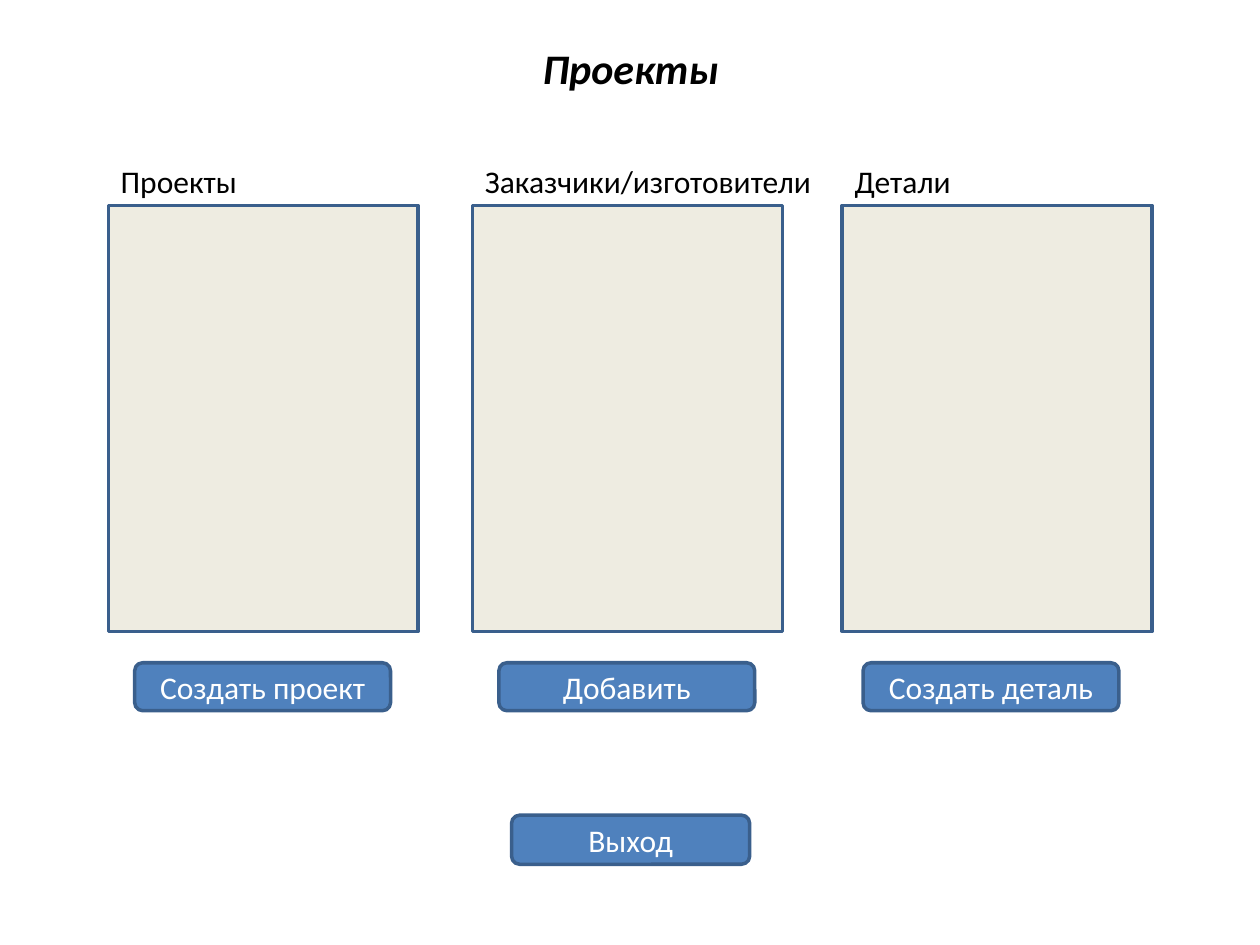
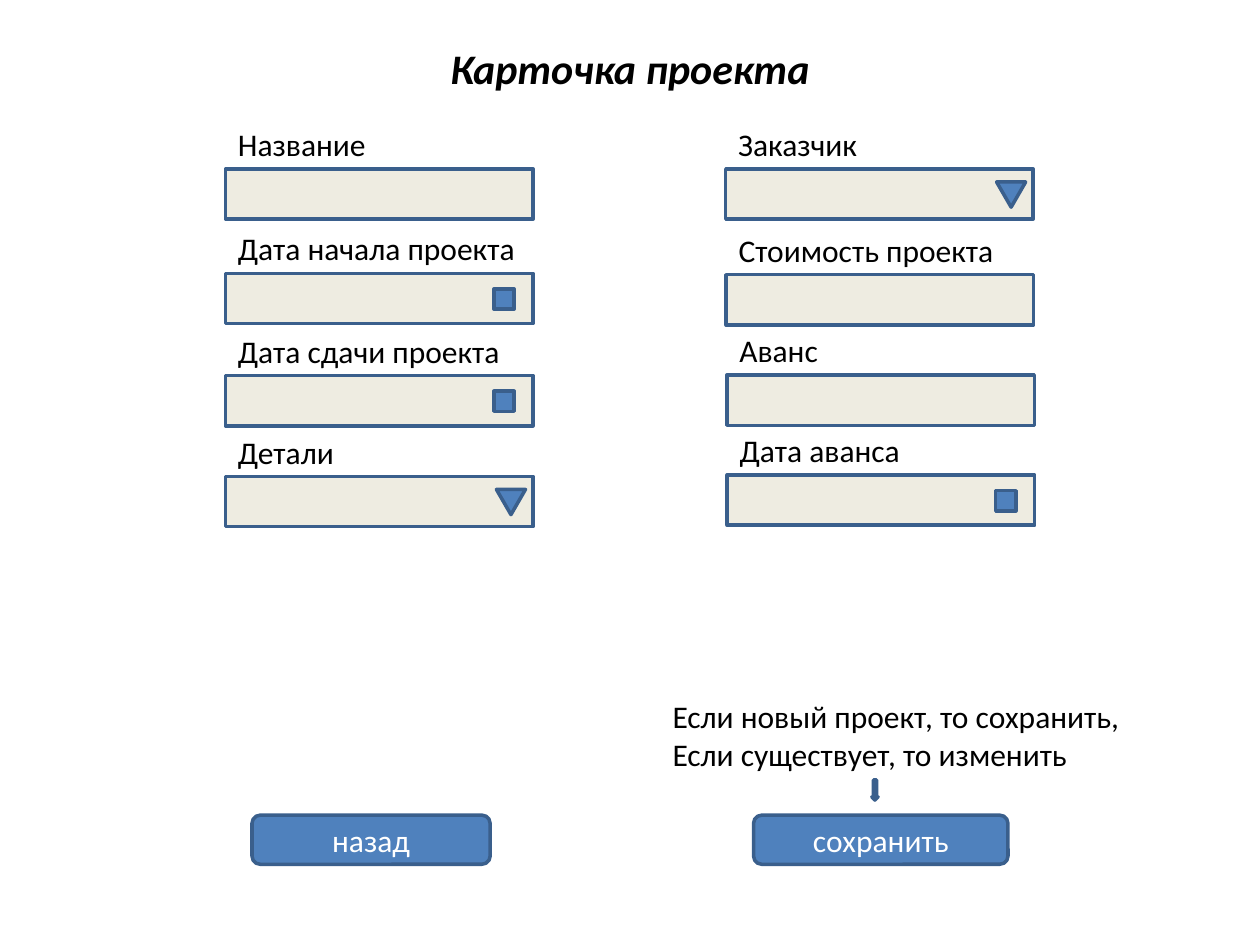
import dataclasses
import typing

import pptx
import pptx.dml.color
import pptx.enum.shapes
import pptx.enum.text
import pptx.util

Pt = pptx.util.Pt
SHAPES = pptx.enum.shapes.MSO_SHAPE
ALIGN = pptx.enum.text.PP_ALIGN

FONT = "Calibri"
BLACK = "000000"
WHITE = "FFFFFF"
BLUE = "4F81BD"
OUTLINE = "3A5F8C"
CREAM = "EEECE1"

TITLE_TOP = 20.9
LABEL_HEIGHT = 28.6
FOOTER_TOP = 465.8
FOOTER_HEIGHT = 28.1
PANEL_TOP = 117.4
PANEL_WIDTH = 177.1
PANEL_HEIGHT = 243.4
ACTION_TOP = 378.7
ACTION_WIDTH = 146.2
ACTION_HEIGHT = 27.4
FIELD_WIDTH = 175.7
FIELD_HEIGHT = 28.8


@dataclasses.dataclass(frozen=True)
class Panel:
    label: str
    label_width: float
    left: float
    action: str
    action_left: float


@dataclasses.dataclass(frozen=True)
class Icon:
    kind: typing.Any
    left: float
    top: float
    width: float
    height: float


@dataclasses.dataclass(frozen=True)
class Field:
    label: str
    label_width: float
    left: float
    top: float
    icon: typing.Optional[Icon] = None


@dataclasses.dataclass(frozen=True)
class Button:
    text: str
    left: float
    width: float


CALENDAR = Icon(SHAPES.RECTANGLE, 153.4, 9, 11.5, 11.5)
DROPDOWN = Icon(SHAPES.FLOWCHART_MERGE, 154.8, 7.5, 16.6, 14.4)

PANELS = [
    Panel("Проекты", 90.7, 61.9, "Создать проект", 77),
    Panel("Заказчики/изготовители", 215.3, 270, "Добавить", 285.1),
    Panel("Детали", 82.8, 481.3, "Создать деталь", 493.2),
]

FIELDS = [
    Field("Название", 88.6, 128.9, 96.5),
    Field("Дата начала проекта", 175, 128.9, 156.2),
    Field("Дата сдачи проекта", 165.6, 128.9, 214.6),
    Field("Детали", 74.2, 128.9, 272.2, DROPDOWN),
    Field("Заказчик", 87.8, 414.7, 96.5, DROPDOWN),
    Field("Стоимость проекта", 166.3, 415, 157),
    Field("Аванс", 64.1, 415.4, 214.3),
    Field("Дата аванса", 107.3, 415.6, 271.4, CALENDAR),
]
FIELDS[1:3] = [dataclasses.replace(field, icon=CALENDAR) for field in FIELDS[1:3]]

EXIT = Button("Выход", 292.3, 136.1)
BACK = Button("назад", 144, 136.1)
SAVE = Button("сохранить", 430.6, 145.4)


def color(value: str) -> pptx.dml.color.RGBColor:
    return pptx.dml.color.RGBColor.from_string(value)


def write(frame, lines: typing.Sequence[str], text_color: str, align, size: float = 18,
          emphasis: bool = False) -> None:
    for index, line in enumerate(lines):
        paragraph = frame.add_paragraph() if index else frame.paragraphs[0]
        paragraph.alignment = align
        run = paragraph.add_run()
        run.text = line
        run.font.name = FONT
        run.font.size = Pt(size)
        run.font.bold = run.font.italic = emphasis
        run.font.color.rgb = color(text_color)


def add_text(slide, lines: typing.Sequence[str], left: float, top: float, width: float,
             height: float = LABEL_HEIGHT, align=ALIGN.LEFT, size: float = 18,
             emphasis: bool = False) -> None:
    frame = slide.shapes.add_textbox(Pt(left), Pt(top), Pt(width), Pt(height)).text_frame
    frame.word_wrap = False
    frame.auto_size = pptx.enum.text.MSO_AUTO_SIZE.SHAPE_TO_FIT_TEXT
    write(frame, lines, BLACK, align, size, emphasis)


def add_title(slide, text: str, left: float, width: float) -> None:
    add_text(slide, [text], left, TITLE_TOP, width, 36, ALIGN.CENTER, 24, True)


def add_box(slide, kind, left: float, top: float, width: float, height: float,
            fill: str = BLUE):
    shape = slide.shapes.add_shape(kind, Pt(left), Pt(top), Pt(width), Pt(height))
    shape.shadow.inherit = False
    shape.fill.solid()
    shape.fill.fore_color.rgb = color(fill)
    shape.line.color.rgb = color(OUTLINE)
    shape.line.width = Pt(2)
    return shape


def add_button(slide, button: Button, top: float = FOOTER_TOP,
               height: float = FOOTER_HEIGHT) -> None:
    shape = add_box(slide, SHAPES.ROUNDED_RECTANGLE, button.left, top, button.width, height)
    shape.text_frame.vertical_anchor = pptx.enum.text.MSO_ANCHOR.MIDDLE
    write(shape.text_frame, [button.text], WHITE, ALIGN.CENTER)


def add_panel(slide, panel: Panel) -> None:
    add_box(slide, SHAPES.RECTANGLE, panel.left, PANEL_TOP, PANEL_WIDTH, PANEL_HEIGHT, CREAM)
    add_text(slide, [panel.label], panel.left, PANEL_TOP - LABEL_HEIGHT, panel.label_width)
    action = Button(panel.action, panel.action_left, ACTION_WIDTH)
    add_button(slide, action, ACTION_TOP, ACTION_HEIGHT)


def add_field(slide, field: Field) -> None:
    add_box(slide, SHAPES.RECTANGLE, field.left, field.top, FIELD_WIDTH, FIELD_HEIGHT, CREAM)
    add_text(slide, [field.label], field.left, field.top - LABEL_HEIGHT, field.label_width)
    icon = field.icon
    if icon:
        add_box(slide, icon.kind, field.left + icon.left, field.top + icon.top,
                icon.width, icon.height)


def add_slide(presentation):
    return presentation.slides.add_slide(presentation.slide_layouts[6])


def build_projects(presentation) -> None:
    slide = add_slide(presentation)
    add_title(slide, "Проекты", 302.4, 115.9)
    for panel in PANELS:
        add_panel(slide, panel)
    add_button(slide, EXIT)


def build_project_card(presentation) -> None:
    slide = add_slide(presentation)
    add_title(slide, "Карточка проекта", 249.1, 221.8)
    for field in FIELDS:
        add_field(slide, field)
    for button in (BACK, SAVE):
        add_button(slide, button)
    note = ["Если новый проект, то сохранить,", "Если существует, то изменить"]
    add_text(slide, note, 377.3, 394.6, 277.2, 51.1)
    add_box(slide, SHAPES.DOWN_ARROW, 498.2, 445.7, 3.6, 11.5)


def main() -> None:
    presentation = pptx.Presentation()
    presentation.slide_width = Pt(720)
    presentation.slide_height = Pt(540)
    build_projects(presentation)
    build_project_card(presentation)
    presentation.save("out.pptx")


if __name__ == "__main__":
    main()
